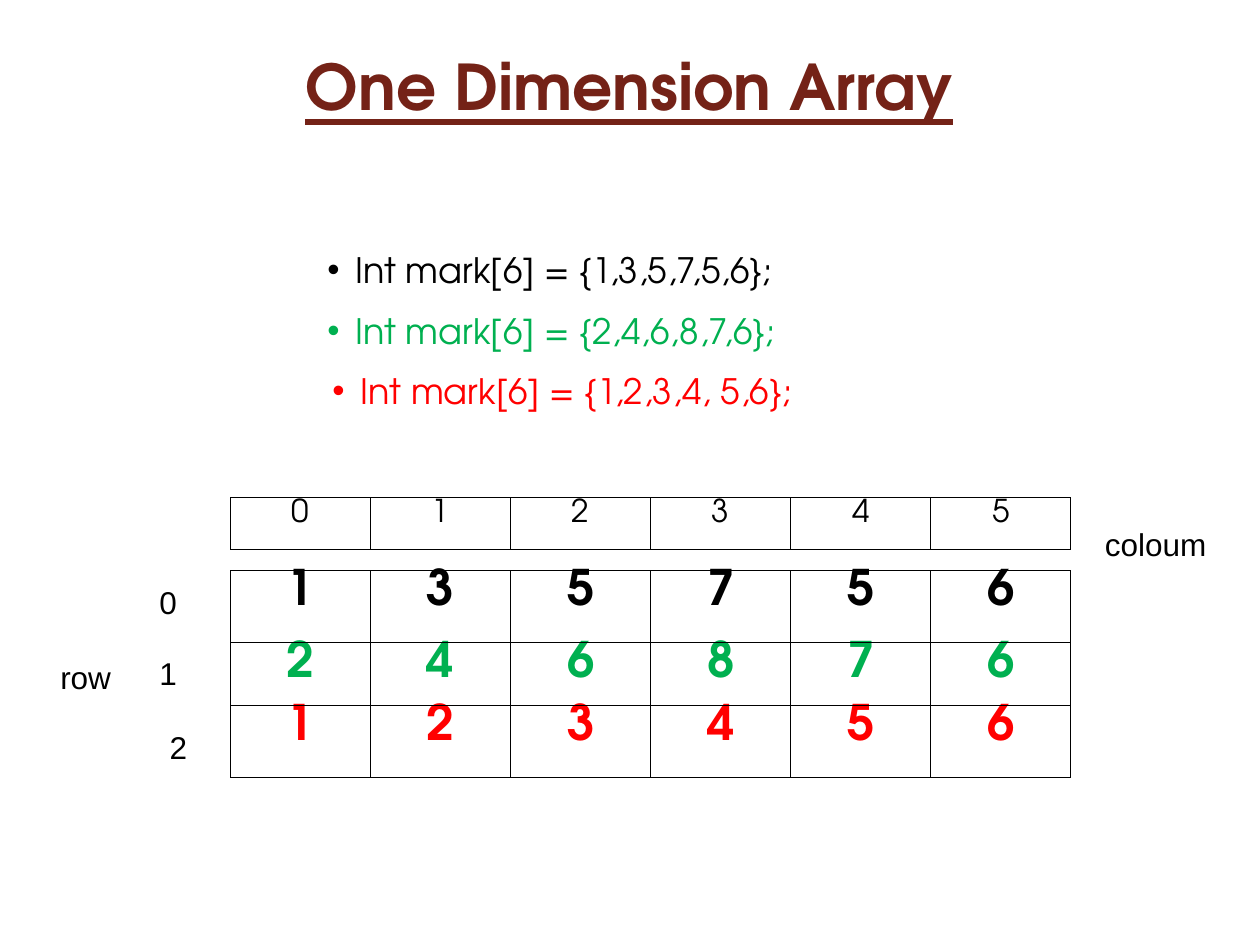
import pptx
import pptx.dml.color
import pptx.enum.text
import pptx.oxml
import pptx.oxml.ns
import pptx.util
import lxml.etree

Inches = pptx.util.Inches
Pt = pptx.util.Pt
Align = pptx.enum.text.PP_ALIGN
Anchor = pptx.enum.text.MSO_ANCHOR
BLACK, GREEN, RED, BROWN, WHITE = "000000", "00B050", "FF0000", "742217", "FFFFFF"
SANS, ROUND = "Arial", "TeX Gyre Adventor"


def color(code):
    return pptx.dml.color.RGBColor.from_string(code)


def child(parent, tag, **attrs):
    node = lxml.etree.SubElement(parent, pptx.oxml.ns.qn(tag))
    for name, value in attrs.items():
        node.set(name, str(value))
    return node


class Deck:
    def __init__(self):
        self.prs = pptx.Presentation()
        self.prs.slide_width = Inches(10)
        self.prs.slide_height = Inches(7.5)
        self.slide = self.prs.slides.add_slide(self.prs.slide_layouts[6])

    def style(self, para, size, tint, face, bold=False, align=Align.LEFT):
        para.alignment = align
        for run in para.runs:
            run.font.size = Pt(size)
            run.font.name = face
            run.font.bold = bold
            run.font.color.rgb = color(tint)

    def box(self, text, left, top, width, height):
        shape = self.slide.shapes.add_textbox(
            Inches(left), Inches(top), Inches(width), Inches(height))
        shape.text_frame.word_wrap = True
        shape.text_frame.text = text
        return shape.text_frame

    def title(self, text):
        frame = self.box(text, 0.33, 0.33, 9.33, 0.8)
        frame.vertical_anchor = Anchor.MIDDLE
        para = frame.paragraphs[0]
        para.line_spacing = 0.8
        self.style(para, 36, BROWN, ROUND, True, Align.CENTER)
        para.runs[0].font.underline = True

    def label(self, text, left, top, width, align=Align.LEFT):
        para = self.box(text, left, top, width, 0.4).paragraphs[0]
        self.style(para, 18, BLACK, SANS, align=align)

    def bullet(self, text, left, top, tint):
        para = self.box(text, left, top, 4.58, 0.44).paragraphs[0]
        props = para._p.get_or_add_pPr()
        props.set("marL", str(Inches(0.22)))
        props.set("indent", str(-Inches(0.22)))
        child(child(props, "a:buClr"), "a:srgbClr", val=tint)
        child(props, "a:buFont", typeface=SANS)
        child(props, "a:buChar", char="•")
        self.style(para, 20, tint, ROUND)

    def border(self, cell):
        props = cell._tc.get_or_add_tcPr()
        for spot, side in enumerate(("a:lnL", "a:lnR", "a:lnT", "a:lnB")):
            line = child(props, side, w=Pt(0.45))
            child(child(line, "a:solidFill"), "a:srgbClr", val=BLACK)
            props.insert(spot, line)

    def strip(self, digits, top, height, size, tint, bold=True):
        table = self.slide.shapes.add_table(
            1, len(digits), Inches(1.83), Inches(top),
            Inches(6.67), Inches(height)).table
        table.first_row = False
        table.horz_banding = False
        for cell, digit in zip(table.iter_cells(), digits):
            cell.text_frame.text = digit
            para = cell.text_frame.paragraphs[0]
            para.line_spacing = 0.8
            self.style(para, size, tint, ROUND, bold, Align.CENTER)
            cell.fill.solid()
            cell.fill.fore_color.rgb = color(WHITE)
            self.border(cell)


def main():
    deck = Deck()
    deck.title("One Dimension Array")
    deck.strip("135756", 4.53, 0.57, 28, BLACK)
    deck.label("coloum", 8.67, 4.12, 1.25)
    deck.strip("012345", 3.95, 0.41, 18, BLACK, False)
    deck.strip("246876", 5.1, 0.57, 28, GREEN)
    deck.strip("123456", 5.6, 0.57, 28, RED)
    for text, left, top in (("0", 1, 4.58), ("2", 1.08, 5.73), ("1", 1, 5.14)):
        deck.label(text, left, top, 0.67, Align.CENTER)
    deck.label("row", 0.38, 5.17, 0.62)
    deck.bullet("Int mark[6] = {1,3,5,7,5,6};", 2.5, 1.92, BLACK)
    deck.bullet("Int mark[6] = {1,2,3,4, 5,6};", 2.54, 2.88, RED)
    deck.bullet("Int mark[6] = {2,4,6,8,7,6};", 2.5, 2.41, GREEN)
    deck.prs.save("out.pptx")


if __name__ == "__main__":
    main()
